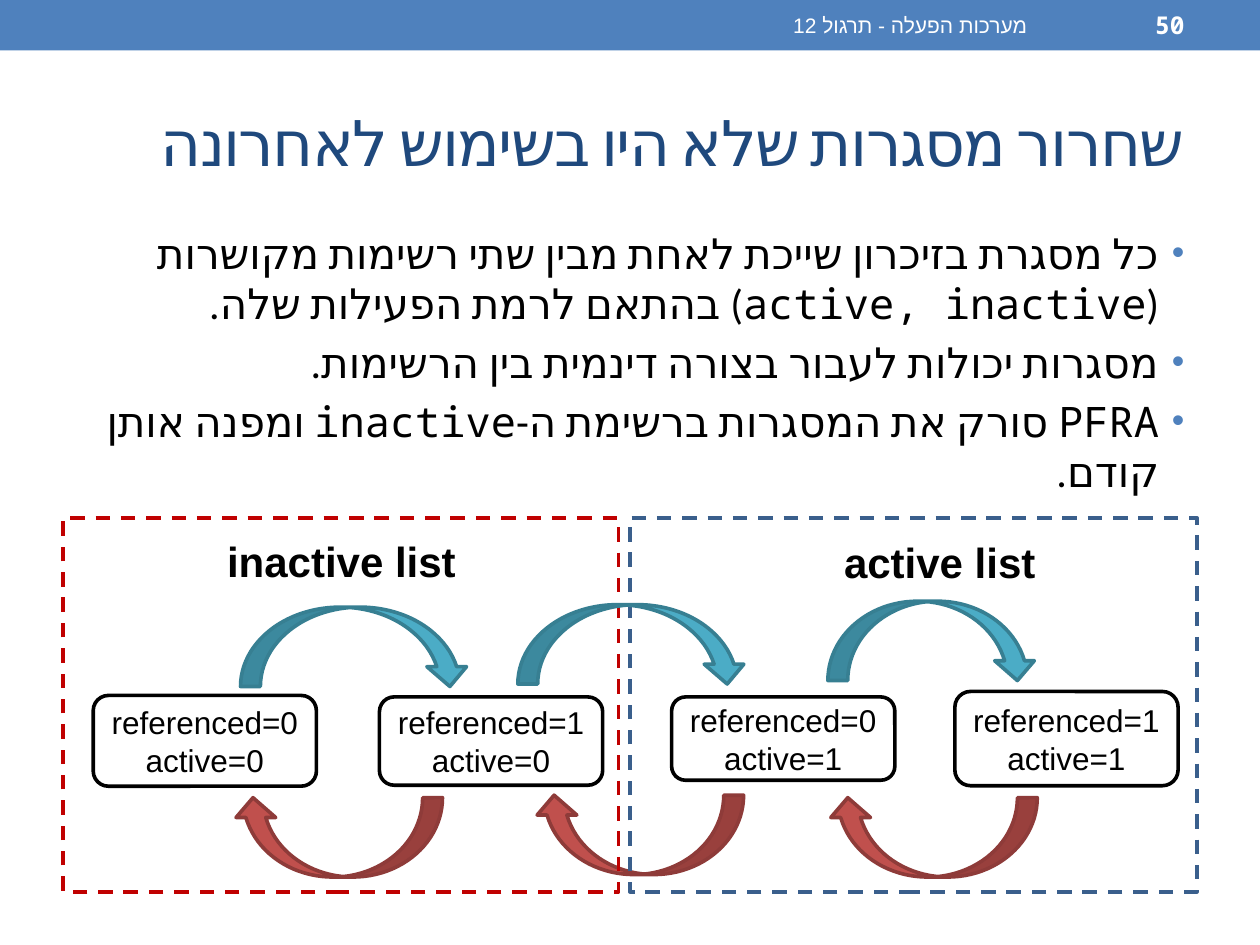
from lxml import etree
from pptx import Presentation
from pptx.dml.color import RGBColor
from pptx.enum.dml import MSO_LINE
from pptx.enum.shapes import MSO_SHAPE
from pptx.enum.text import MSO_ANCHOR, MSO_AUTO_SIZE, PP_ALIGN
from pptx.oxml.ns import qn
from pptx.util import Cm, Pt

RECT, ROUNDED = MSO_SHAPE.RECTANGLE, MSO_SHAPE.ROUNDED_RECTANGLE
CURVED_ARROW = MSO_SHAPE.CURVED_DOWN_ARROW
DASH = MSO_LINE.DASH
TOP, MIDDLE = MSO_ANCHOR.TOP, MSO_ANCHOR.MIDDLE
CENTER, RIGHT = PP_ALIGN.CENTER, PP_ALIGN.RIGHT
NO_AUTOFIT = MSO_AUTO_SIZE.NONE

MONO, SANS, HEBREW = "Noto Sans Mono", "Arial", "Calibri"
COLORS = {
    "banner": "4F81BD", "title": "1F497D", "text": "000000", "white": "FFFFFF",
    "promote": "4BACC6", "promote_edge": "377F92",
    "demote": "C0504D", "demote_edge": "8E3B39",
    "active": "3A5F8C", "inactive": "C00000",
}
EDGE = Pt(2.08)

TITLE = "שחרור מסגרות שלא היו בשימוש לאחרונה"
POINTS = [
    "כל מסגרת בזיכרון שייכת לאחת מבין שתי רשימות מקושרות (active, inactive) בהתאם לרמת הפעילות שלה.",
    "מסגרות יכולות לעבור בצורה דינמית בין הרשימות.",
    "PFRA סורק את המסגרות ברשימת ה-inactive ומפנה אותן קודם.",
]
# referenced, active, left, top, height
STATES = [
    (0, 0, 1.88, 14.02, 1.83),
    (1, 0, 7.65, 14.05, 1.78),
    (0, 1, 13.54, 14.05, 1.68),
    (1, 1, 19.25, 13.94, 1.9),
]
STATE_WIDTH = 4.5
# left, top, width
PROMOTIONS = [(16.69, 12.12, 4.22), (4.85, 12.24, 4.62), (10.44, 12.19, 4.62)]
DEMOTIONS = [(16.69, 16.08, 4.22), (10.77, 16.03, 4.22), (4.7, 16.08, 4.22)]
ARROW_HEIGHT = 1.6
# name, frame left, frame width, heading left, heading top
LISTS = [
    ("active", 12.7, 11.43, 15.77, 10.7),
    ("inactive", 1.27, 11.2, 3.71, 10.67),
]


def rgb(name):
    return RGBColor.from_string(COLORS[name])


def place(shape, left, top, width, height):
    box = {"left": left, "top": top, "width": width, "height": height}
    for side, length in box.items():
        setattr(shape, side, Cm(length))


def write(frame, lines, color, align, font, anchor=TOP, wrap=True, rtl=False,
          complex_font=HEBREW):
    """Fill a text frame, one paragraph a line; font holds font attributes."""
    layout = {"word_wrap": wrap, "auto_size": NO_AUTOFIT, "vertical_anchor": anchor}
    for key, value in layout.items():
        setattr(frame, key, value)
    for index, line in enumerate(lines):
        paragraph = frame.add_paragraph() if index else frame.paragraphs[0]
        paragraph.alignment = align
        run = paragraph.add_run()
        run.text = line
        for key, value in font.items():
            setattr(run.font, key, value)
        run.font.color.rgb = rgb(color)
        if rtl:
            paragraph._p.get_or_add_pPr().set("rtl", "1")
            properties = run._r.get_or_add_rPr()
            properties.set("lang", "he-IL")
            script_font = etree.SubElement(properties, qn("a:cs"))
            script_font.set("typeface", complex_font)


def add_bullet(paragraph):
    paragraph.space_before = Pt(4.8)
    properties = paragraph._p.get_or_add_pPr()
    hang = Cm(0.51)
    for key, value in {"marL": hang, "marR": 0, "indent": -hang}.items():
        properties.set(key, str(int(value)))
    color = etree.SubElement(properties, qn("a:buClr"))
    etree.SubElement(color, qn("a:srgbClr")).set("val", COLORS["banner"])
    etree.SubElement(properties, qn("a:buSzPct")).set("val", "85000")
    etree.SubElement(properties, qn("a:buFont")).set("typeface", SANS)
    etree.SubElement(properties, qn("a:buChar")).set("char", "•")


def add_shape(slide, kind, box, fill=None, edge=None, dash=None):
    shape = slide.shapes.add_shape(kind, *map(Cm, box))
    shape.shadow.inherit = False
    if fill:
        shape.fill.solid()
        shape.fill.fore_color.rgb = rgb(fill)
    else:
        shape.fill.background()
    if edge:
        shape.line.color.rgb = rgb(edge)
        shape.line.width = EDGE
        shape.line.dash_style = dash
    else:
        shape.line.fill.background()
    return shape


def add_label(slide, box, text, color, align, font, **options):
    label = slide.shapes.add_textbox(*map(Cm, box))
    write(label.text_frame, [text], color, align, font, **options)


def add_state(slide, referenced, active, left, top, height):
    state = add_shape(slide, ROUNDED, (left, top, STATE_WIDTH, height), "white", "text")
    lines = [f"referenced={referenced}", f"active={active}"]
    write(state.text_frame, lines, "text", CENTER, {"name": SANS, "size": Pt(18)},
          anchor=MIDDLE, wrap=False)


def add_arrow(slide, move, left, top, width, rotation=0):
    box = (left, top, width, ARROW_HEIGHT)
    arrow = add_shape(slide, CURVED_ARROW, box, move, f"{move}_edge")
    arrow.rotation = rotation


def add_banner(slide):
    add_shape(slide, RECT, (0, 0, 25.4, 1.02), "banner")
    add_label(slide, (9.53, 0.05, 11.43, 0.91), "מערכות הפעלה - תרגול 12", "white",
              RIGHT, {"name": MONO, "size": Pt(12)}, anchor=MIDDLE, rtl=True,
              complex_font=SANS)
    add_label(slide, (21.16, 0.05, 2.97, 0.91), "50", "white", RIGHT,
              {"name": MONO, "size": Pt(14), "bold": True}, anchor=MIDDLE, rtl=True,
              complex_font=MONO)


def fill_placeholders(slide):
    title, body = slide.placeholders
    place(title, 1.27, 1.47, 22.86, 2.74)
    write(title.text_frame, [TITLE], "title", RIGHT, {"name": MONO, "size": Pt(36)},
          anchor=MIDDLE, rtl=True)
    title.text_frame.paragraphs[0].runs[0]._r.get_or_add_rPr().set("spc", "-100")
    place(body, 1.27, 4.45, 22.86, 13.54)
    write(body.text_frame, POINTS, "text", RIGHT, {"name": MONO, "size": Pt(24)},
          rtl=True)
    for paragraph in body.text_frame.paragraphs:
        add_bullet(paragraph)


def main():
    deck = Presentation()
    deck.slide_width, deck.slide_height = Cm(25.4), Cm(19.05)
    slide = deck.slides.add_slide(deck.slide_layouts[1])
    add_banner(slide)
    fill_placeholders(slide)
    for state in STATES:
        add_state(slide, *state)
    *inner_promotions, crossing_promotion = PROMOTIONS
    for promotion in inner_promotions:
        add_arrow(slide, "promote", *promotion)
    for demotion in DEMOTIONS:
        add_arrow(slide, "demote", *demotion, rotation=180)
    for name, left, width, heading_left, heading_top in LISTS:
        add_shape(slide, RECT, (left, 10.44, width, 7.54), edge=name, dash=DASH)
        add_label(slide, (heading_left, heading_top, 6.35, 1.27), f"{name} list", "text",
                  CENTER, {"name": SANS, "size": Pt(24), "bold": True})
    add_arrow(slide, "promote", *crossing_promotion)
    deck.save("out.pptx")


if __name__ == "__main__":
    main()
